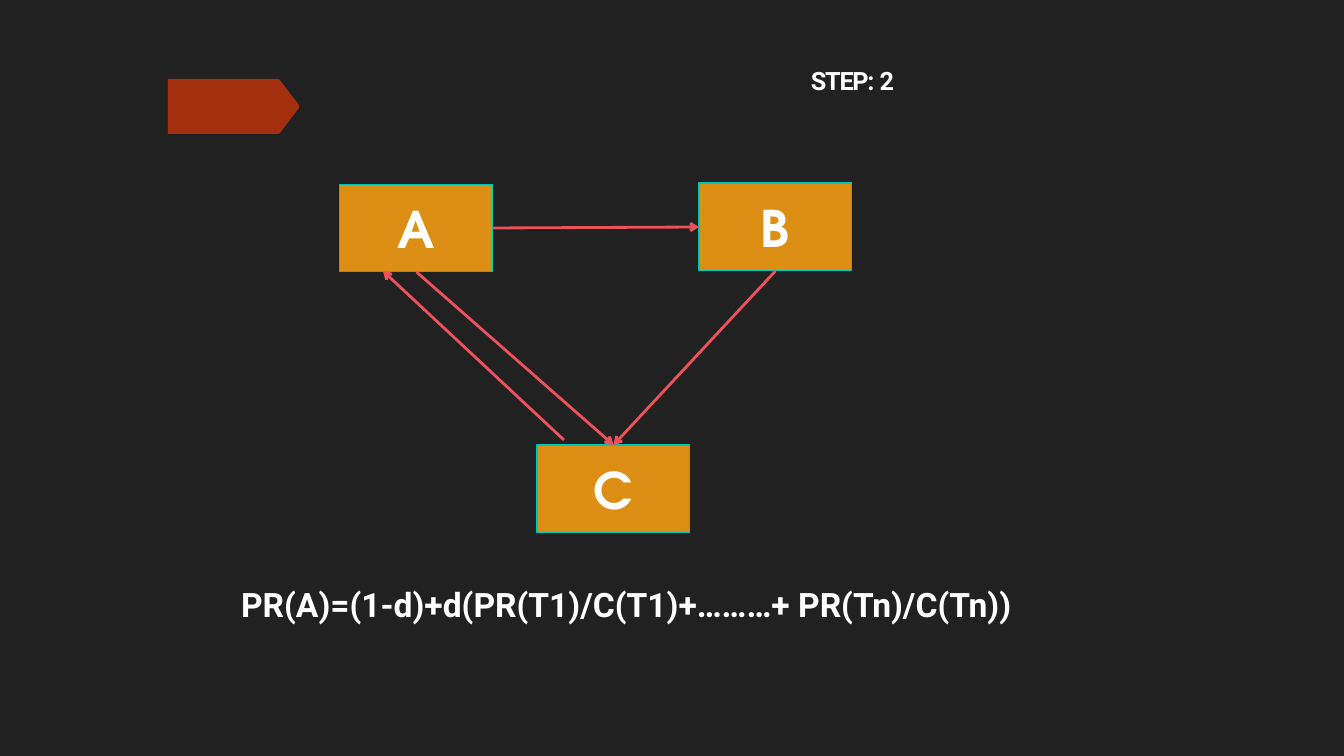
from typing import NamedTuple

import lxml.etree
import pptx
import pptx.dml.color
import pptx.enum.shapes
import pptx.enum.text
import pptx.oxml.ns
import pptx.util

PIXEL = 914400 / 100.8
COLORS = {
    "background": "212121",
    "text": "FFFFFF",
    "ribbon": "A42F0F",
    "page": "DC8F14",
    "page edge": "00C6BB",
    "link": "ED515C",
}
TOP, LEFT, BOTTOM, RIGHT = range(4)  # connection sites of a rectangle
ALIGN = pptx.enum.text.PP_ALIGN
ANCHOR = pptx.enum.text.MSO_ANCHOR


class Page(NamedTuple):
    name: str
    left: int
    top: int


class Link(NamedTuple):
    source: str
    source_site: int
    target: str
    target_site: int


PAGE_WIDTH, PAGE_HEIGHT = 153, 88
PAGES = [Page("A", 340, 184), Page("C", 537, 445), Page("B", 699, 183)]
LINKS = [
    Link("A", RIGHT, "B", LEFT),
    Link("A", BOTTOM, "C", TOP),
    Link("B", BOTTOM, "C", TOP),
]


def px(pixels: int) -> int:
    return pptx.util.Emu(round(pixels * PIXEL))


def color(name: str) -> pptx.dml.color.RGBColor:
    return pptx.dml.color.RGBColor.from_string(COLORS[name])


def place(shape, left: int, top: int, width: int, height: int) -> None:
    shape.left, shape.top = px(left), px(top)
    shape.width, shape.height = px(width), px(height)


def write(shape, *runs: str, size: int, font: str = "Roboto",
          align=ALIGN.LEFT, anchor=ANCHOR.TOP, wrap: bool = True,
          insets=None, before: int = 0, spacing=()) -> None:
    frame = shape.text_frame
    frame.word_wrap = wrap
    frame.vertical_anchor = anchor
    frame.auto_size = pptx.enum.text.MSO_AUTO_SIZE.NONE
    if insets:
        frame.margin_left, frame.margin_top, frame.margin_right, frame.margin_bottom = map(px, insets)
    paragraph = frame.paragraphs[0]
    paragraph.alignment = align
    paragraph.space_before = pptx.util.Pt(before)
    for index, text in enumerate(runs):
        run = paragraph.add_run()
        run.text = text
        run.font.name = font
        run.font.size = pptx.util.Pt(size)
        run.font.bold = True
        run.font.color.rgb = color("text")
        if spacing:
            run.font._element.set("spc", str(spacing[index]))


def add_page(slide, page: Page):
    box = slide.shapes.add_shape(
        pptx.enum.shapes.MSO_SHAPE.RECTANGLE,
        px(page.left), px(page.top), px(PAGE_WIDTH), px(PAGE_HEIGHT))
    box.shadow.inherit = False
    box.fill.solid()
    box.fill.fore_color.rgb = color("page")
    box.line.color.rgb = color("page edge")
    box.line.width = pptx.util.Pt(0.75)
    write(box, page.name, size=36, font="TeX Gyre Adventor",
          align=ALIGN.CENTER, anchor=ANCHOR.MIDDLE)
    return box


def add_arrow(slide, x1: int = 0, y1: int = 0, x2: int = 0, y2: int = 0):
    arrow = slide.shapes.add_connector(
        pptx.enum.shapes.MSO_CONNECTOR.STRAIGHT, px(x1), px(y1), px(x2), px(y2))
    arrow.line.color.rgb = color("link")
    arrow.line.width = pptx.util.Pt(2)
    qn = pptx.oxml.ns.qn
    lxml.etree.SubElement(arrow.line._get_or_add_ln(), qn("a:tailEnd"), type="arrow")
    lxml.etree.SubElement(arrow._element.spPr, qn("a:effectLst"))
    return arrow


deck = pptx.Presentation()
deck.slide_width, deck.slide_height = px(1344), px(756)
slide = deck.slides.add_slide(deck.slide_layouts[5])
slide.background.fill.solid()
slide.background.fill.fore_color.rgb = color("background")

# Ribbon at the upper left
outline = slide.shapes.build_freeform(168, 79, scale=PIXEL)
outline.add_line_segments([(279, 79), (299, 105), (299, 108), (279, 134), (168, 134)])
ribbon = outline.convert_to_shape()
ribbon.shadow.inherit = False
ribbon.fill.solid()
ribbon.fill.fore_color.rgb = color("ribbon")
ribbon.line.fill.background()

# Step heading
step = slide.shapes.title
place(step, 809, 64, 90, 32)
write(step, "STEP: ", "2", size=18, wrap=False, insets=(2, 1, 0, 0),
      before=1, spacing=(-90, -70))

# Pages and the links between them
boxes = {page.name: add_page(slide, page) for page in PAGES}
for link in LINKS:
    arrow = add_arrow(slide)
    arrow.begin_connect(boxes[link.source], link.source_site)
    arrow.end_connect(boxes[link.target], link.target_site)
add_arrow(slide, 564, 440, 383, 271)  # link back from C to A

# PageRank formula
formula = slide.shapes.add_textbox(0, 0, 0, 0)
place(formula, 230, 579, 837, 92)
write(formula, "PR(A)=(1-d)+d(PR(T1)/C(T1)+………+ PR(Tn)/C(Tn))",
      size=24, insets=(11, 5, 10, 5), before=1)

deck.save("out.pptx")
